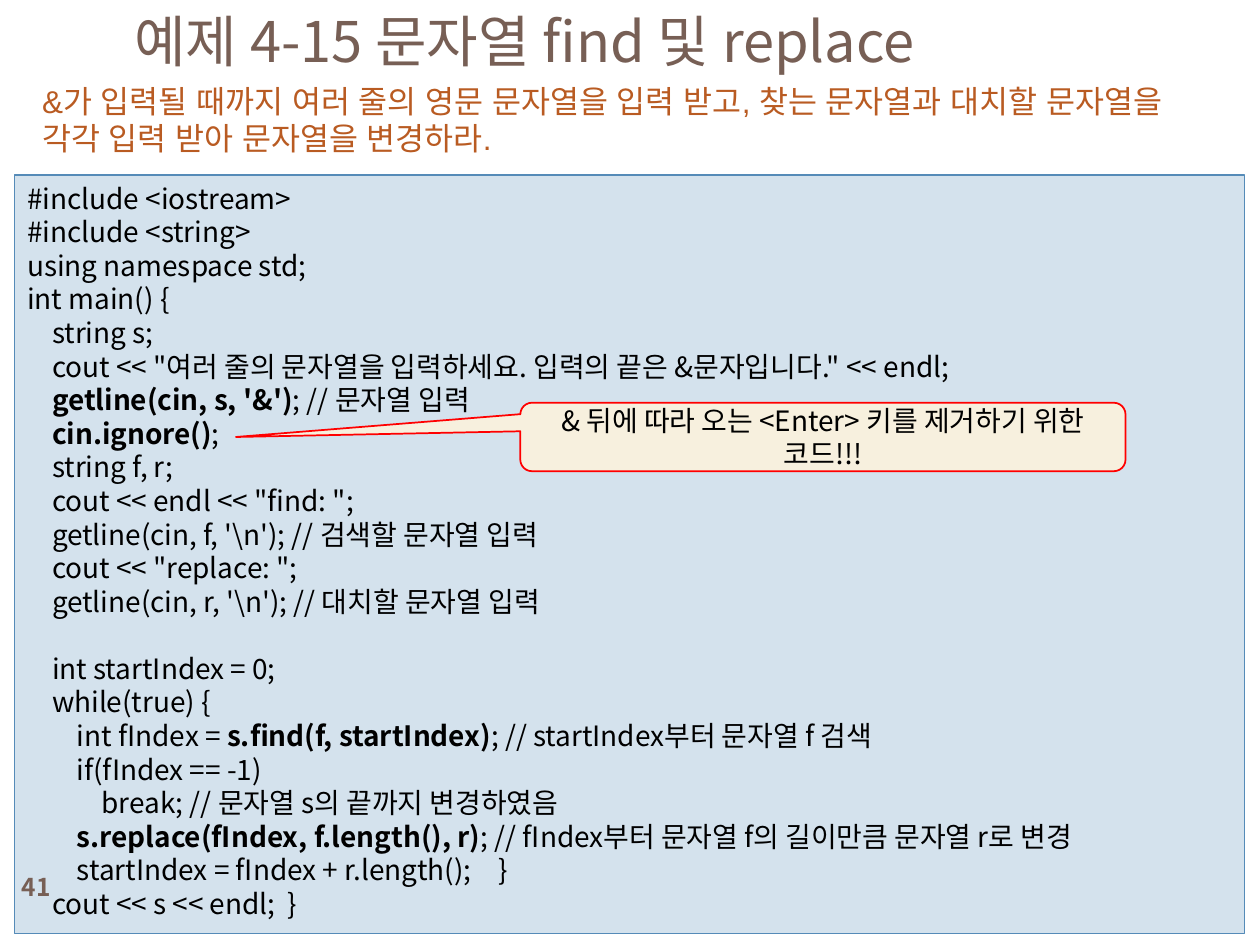
from lxml import etree
from pptx import Presentation
from pptx.dml.color import RGBColor
from pptx.enum import shapes, text
from pptx.oxml import ns
from pptx.util import Cm, Pt

CODE_FONT = "Noto Sans CJK KR"
TITLE = "예제 4-15 문자열 find 및 replace"
TASK = ("&가 입력될 때까지 여러 줄의 영문 문자열을 입력 받고, 찾는 문자열과 대치할 문자열을 "
        "각각 입력 받아 문자열을 변경하라.")
NOTE = "& 뒤에 따라 오는 <Enter> 키를 제거하기 위한 코드!!!"
PAGE_NUMBER = "41"

# Each line alternates plain and bold pieces, starting with plain.
CODE_BLOCKS = [
    [
        ["#include <iostream>"],
        ["#include <string>"],
        ["using namespace std;"],
        ["int main() {"],
        ["\tstring s;"],
        ['\tcout << "여러 줄의 문자열을 입력하세요. 입력의 끝은 &문자입니다." << endl;'],
        ["\t", "getline(cin, s, '&')", "; // 문자열 입력"],
        ["\t", "cin.ignore()", ";"],
        ["\tstring f, r;"],
        ['\tcout << endl << "find: ";'],
        ["\tgetline(cin, f, '\\n'); // 검색할 문자열 입력"],
        ['\tcout << "replace: ";'],
        ["\tgetline(cin, r, '\\n'); // 대치할 문자열 입력"],
    ],
    [
        ["\tint startIndex = 0;"],
        ["\twhile(true) {"],
        ["\t\tint fIndex = ", "s.find(f, startIndex)", "; // startIndex부터 문자열 f 검색"],
        ["\t\tif(fIndex == -1)"],
        ["\t\t\tbreak; // 문자열 s의 끝까지 변경하였음"],
        ["\t\t", "s.replace(fIndex, f.length(), r)",
         "; // fIndex부터 문자열 f의 길이만큼 문자열 r로 변경"],
        ["\t\tstartIndex = fIndex + r.length();\t}"],
        ["\tcout << s << endl;  }"],
    ],
]
TAB_STOPS = [0.5, 1, 1.5, 9.5]
BLOCK_GAP = Pt(19.2)


def color(value):
    return RGBColor.from_string(value)


def add_run(paragraph, content, size, tint, font=CODE_FONT, bold=False):
    run = paragraph.add_run()
    run.text = content
    run.font.size = Pt(size)
    run.font.bold = bold
    run.font.name = font
    run.font.color.rgb = color(tint)
    east_asian = etree.SubElement(run.font._element, ns.qn("a:ea"))
    east_asian.set("typeface", font)


def set_tabs(paragraph):
    tabs = etree.SubElement(paragraph._p.get_or_add_pPr(), ns.qn("a:tabLst"))
    for stop in TAB_STOPS:
        tab = etree.SubElement(tabs, ns.qn("a:tab"))
        tab.set("pos", str(Cm(stop)))
        tab.set("algn", "l")


def add_panel(slide, kind, place, fill, line, width):
    shape = slide.shapes.add_shape(kind, *map(Cm, place))
    shape.shadow.inherit = False
    shape.fill.solid()
    shape.fill.fore_color.rgb = color(fill)
    shape.line.color.rgb = color(line)
    shape.line.width = Pt(width)
    return shape


def add_label(slide, place, content, size, tint, font=CODE_FONT, bold=False,
              align=text.PP_ALIGN.LEFT, anchor=text.MSO_ANCHOR.MIDDLE):
    box = slide.shapes.add_textbox(*map(Cm, place))
    frame = box.text_frame
    frame.word_wrap = True
    frame.vertical_anchor = anchor
    paragraph = frame.paragraphs[0]
    paragraph.alignment = align
    add_run(paragraph, content, size, tint, font, bold)


def add_code(slide):
    panel = add_panel(slide, shapes.MSO_SHAPE.RECTANGLE, (0.3, 3.53, 24.79, 15.29),
                      "D4E2ED", "558BB8", 0.75)
    frame = panel.text_frame
    frame.word_wrap = True
    frame.auto_size = text.MSO_AUTO_SIZE.SHAPE_TO_FIT_TEXT
    frame.vertical_anchor = text.MSO_ANCHOR.TOP
    paragraph = None
    for block in CODE_BLOCKS:
        for row, pieces in enumerate(block):
            starts_block = paragraph is not None and row == 0
            paragraph = frame.add_paragraph() if paragraph is not None else frame.paragraphs[0]
            paragraph.alignment = text.PP_ALIGN.LEFT
            if starts_block:
                paragraph.space_before = BLOCK_GAP
            set_tabs(paragraph)
            for index, piece in enumerate(pieces):
                add_run(paragraph, piece, 16, "000000", bold=index % 2 == 1)


def add_callout(slide):
    callout = add_panel(slide, shapes.MSO_SHAPE.ROUNDED_RECTANGULAR_CALLOUT,
                        (10.49, 8.12, 12.2, 1.38), "F7F0DE", "FF0000", 1)
    for index, value in enumerate((-0.97, 0, 0.17)):
        callout.adjustments[index] = value
    frame = callout.text_frame
    frame.word_wrap = True
    frame.vertical_anchor = text.MSO_ANCHOR.MIDDLE
    paragraph = frame.paragraphs[0]
    paragraph.alignment = text.PP_ALIGN.CENTER
    add_run(paragraph, NOTE, 16, "000000")


def main():
    presentation = Presentation()
    presentation.slide_width, presentation.slide_height = Cm(25.4), Cm(19.05)
    slide = presentation.slides.add_slide(presentation.slide_layouts[6])
    add_code(slide)
    add_label(slide, (0, 17.35, 1.47, 1.07), PAGE_NUMBER, 14, "775F55",
              bold=True, align=text.PP_ALIGN.CENTER)
    add_label(slide, (2.46, 0, 19.56, 1.6), TITLE, 32, "775F55")
    add_label(slide, (0.6, 1.52, 24.08, 1.8), TASK, 18, "B95B22", font="Arial",
              anchor=text.MSO_ANCHOR.TOP)
    add_callout(slide)
    presentation.save("out.pptx")


if __name__ == "__main__":
    main()
